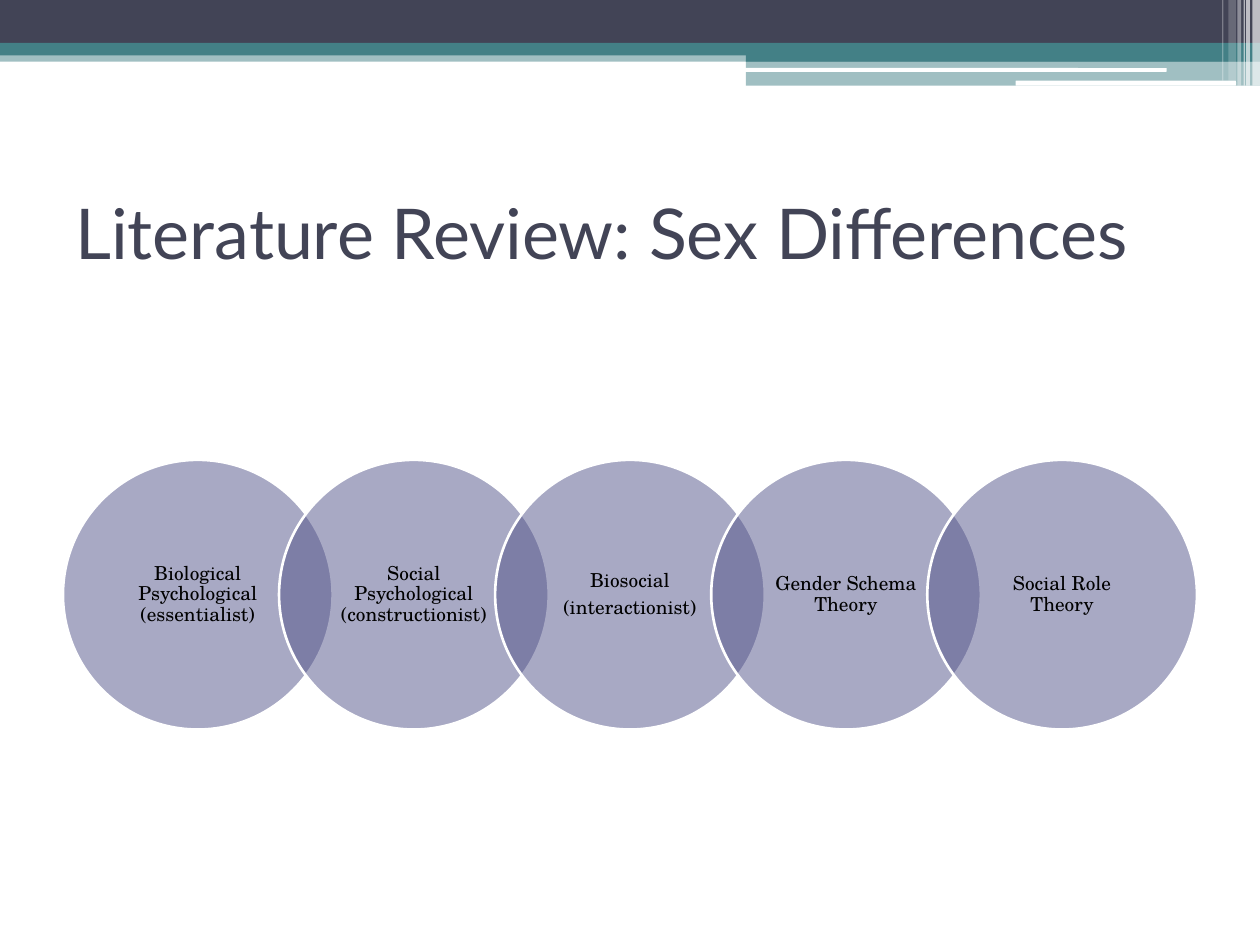
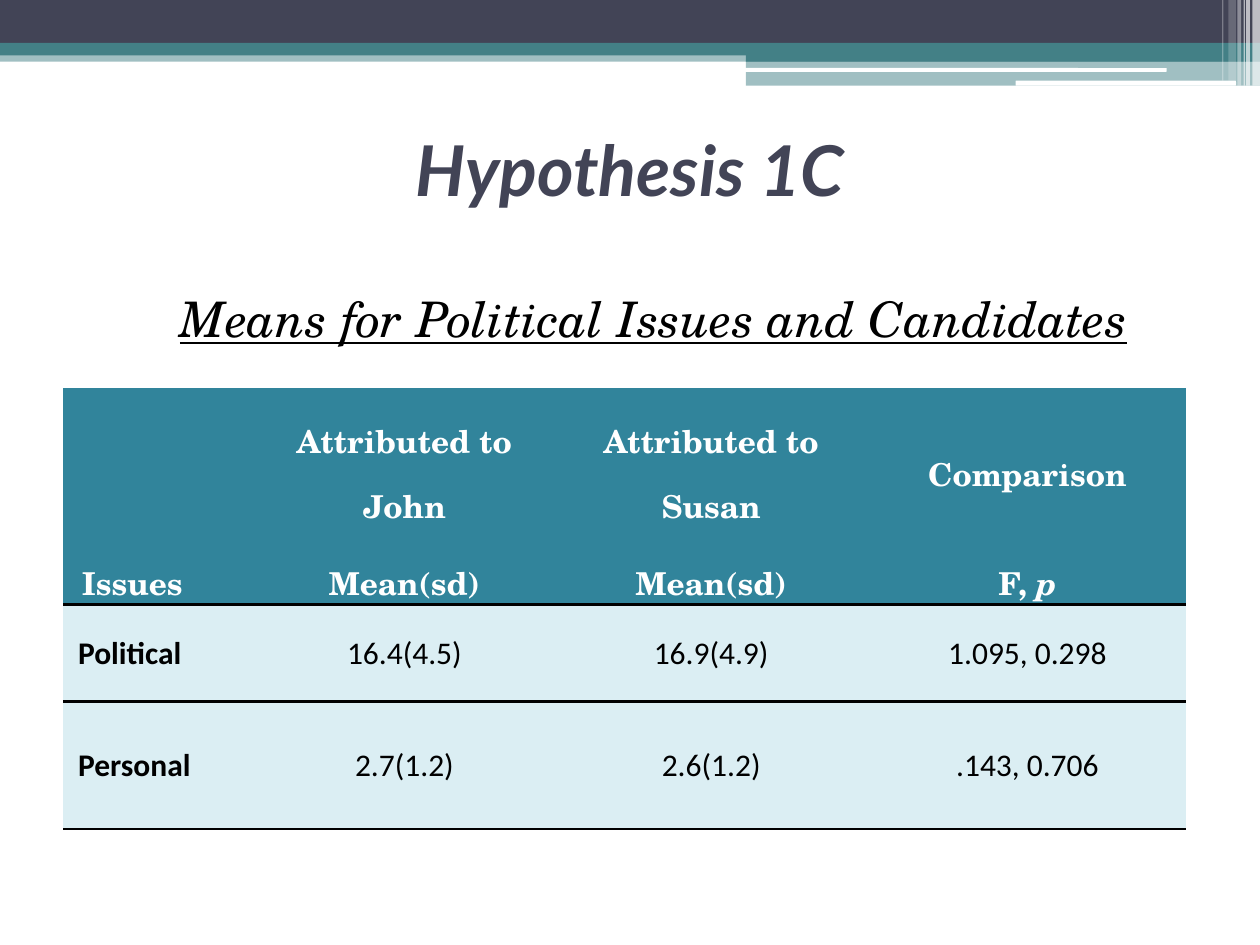
from dataclasses import dataclass

from lxml.etree import SubElement
from pptx import Presentation
from pptx.dml.color import RGBColor as Rgb
from pptx.enum.shapes import MSO_SHAPE as Shape
from pptx.enum.text import MSO_ANCHOR as Anchor, PP_ALIGN as Align
from pptx.oxml.ns import qn
from pptx.util import Inches, Pt

COLS, ROWS = 100, 75
PLAIN_TABLE = "{2D5ABB26-0587-4C30-8999-92F81FD0307C}"


@dataclass(frozen=True)
class Theme:
    """Colours, fonts and type sizes of the deck."""

    slate: str = "424456"
    teal: str = "438086"
    violet: str = "53548A"
    header: str = "31849B"
    pale: str = "DBEEF3"
    white: str = "FFFFFF"
    black: str = "000000"
    title_font: str = "Lato"
    body_font: str = "TeX Gyre Schola"
    data_font: str = "Calibri"
    title_size: int = 40
    subtitle_size: int = 28
    table_size: int = 18
    label_size: int = 11


class Deck:
    """Draws styled elements on the current slide, placed on a 100 by 75 grid."""

    def __init__(self, theme):
        """Open an empty 10 by 7.5 inch deck."""
        self.t = theme
        self.prs = Presentation()
        self.prs.slide_width, self.prs.slide_height = Inches(10), Inches(7.5)
        self.s = None

    def x(self, cols):
        """Turn grid columns into a length."""
        return round(self.prs.slide_width * cols / COLS)

    def y(self, rows):
        """Turn grid rows into a length."""
        return round(self.prs.slide_height * rows / ROWS)

    def box(self, left, top, width, height):
        """Turn a grid box into lengths."""
        return self.x(left), self.y(top), self.x(width), self.y(height)

    def slide(self):
        """Start a slide with the shared header bands and stripes."""
        t = self.t
        self.s = self.prs.slides.add_slide(self.prs.slide_layouts[6])
        bands = [
            (0, 4, 100, 0.9, t.teal, 50),
            (0, 0, 100, 3.4, t.slate, 100),
            (0, 3.4, 100, 1, t.teal, 100),
            (59.2, 3.9, 40.8, 1, t.teal, 100),
            (59.2, 4.8, 40.8, 2, t.teal, 50),
        ]
        for *at, color, alpha in bands:
            self.shape(Shape.RECTANGLE, at, color, alpha)
        for at in ((59.1, 5.4, 33.5, 0.3), (80.6, 6.4, 17.5, 0.4)):
            self.shape(Shape.ROUNDED_RECTANGLE, at, t.white)
        stripes = [
            (99.4, 0.6, 6.8, 65),
            (98.9, 0.3, 6.8, 65),
            (98.7, 0.1, 6.8, 60),
            (98.2, 0.3, 6.8, 40),
            (97.5, 0.6, 6.4, 20),
            (97, 0.1, 6.4, 30),
        ]
        for left, width, height, alpha in stripes:
            self.shape(Shape.RECTANGLE, (left, 0, width, height), t.white, alpha)

    def shape(self, kind, at, color, alpha=100, line=None):
        """Add a filled preset shape, with opacity in percent."""
        sp = self.s.shapes.add_shape(kind, *self.box(*at))
        sp.shadow.inherit = False
        sp.fill.solid()
        sp.fill.fore_color.rgb = Rgb.from_string(color)
        if alpha < 100:
            rgb = sp._element.spPr.find(qn("a:solidFill"))[0]
            SubElement(rgb, qn("a:alpha"), val=str(alpha * 1000))
        if line:
            sp.line.color.rgb = Rgb.from_string(line)
            sp.line.width = Pt(1.5)
        else:
            sp.line.fill.background()
        return sp

    def run(self, p, text, size, font, color, bold=None, italic=None, underline=None):
        """Add one styled run to a paragraph."""
        r = p.add_run()
        r.text = text
        f = r.font
        f.size, f.name, f.color.rgb = Pt(size), font, Rgb.from_string(color)
        f.bold, f.italic, f.underline = bold, italic, underline

    def text(self, at, anchor):
        """Add a wrapping text box and return its frame."""
        tf = self.s.shapes.add_textbox(*self.box(*at)).text_frame
        tf.word_wrap, tf.vertical_anchor = True, anchor
        return tf

    def title(self, text, top, align=Align.LEFT, **style):
        """Add the slide title."""
        p = self.text((5, top, 90, 11.7), Anchor.MIDDLE).paragraphs[0]
        p.alignment = align
        self.run(p, text, self.t.title_size, self.t.title_font, self.t.slate, **style)

    def subtitle(self, text, at):
        """Add an underlined, centred heading at the foot of its box."""
        tf = self.text(at, Anchor.BOTTOM)
        tf.margin_left, tf.margin_bottom = self.x(2.2), self.y(1.6)
        p = tf.paragraphs[0]
        p.alignment = Align.CENTER
        self.run(p, text, self.t.subtitle_size, self.t.body_font, self.t.black,
                 italic=True, underline=True)

    def circle_chain(self, labels, left, top, width, size):
        """Add a row of equal, overlapping, labelled circles."""
        t = self.t
        pitch = (width - size) / (len(labels) - 1)
        for i, lines in enumerate(labels):
            at = (left + i * pitch, top, size, size)
            tf = self.shape(Shape.OVAL, at, t.violet, 50, t.white).text_frame
            tf.word_wrap, tf.vertical_anchor = True, Anchor.MIDDLE
            tf.margin_left = tf.margin_right = self.x(1.2)
            tf.margin_top = tf.margin_bottom = self.y(0.2)
            for j, line in enumerate(lines):
                p = tf.add_paragraph() if j else tf.paragraphs[0]
                p.alignment, p.line_spacing = Align.CENTER, 0.9
                p.space_after = Pt(4)
                self.run(p, line, t.label_size, t.body_font, t.black)

    def border(self, cell, side, width):
        """Draw one black edge of a cell."""
        ln = SubElement(cell._tc.get_or_add_tcPr(), qn(f"a:{side}"), w=str(Pt(width)))
        SubElement(SubElement(ln, qn("a:solidFill")), qn("a:srgbClr"), val=self.t.black)

    def cell(self, cell, runs, is_header, is_first):
        """Fill one table cell; every second run is italic."""
        t = self.t
        cell.margin_left = cell.margin_right = cell.margin_top = self.x(0.1)
        cell.margin_bottom = 0
        cell.vertical_anchor = Anchor.MIDDLE
        p = cell.text_frame.paragraphs[0]
        p.alignment = Align.LEFT if is_first else Align.CENTER
        if is_first:
            cell.margin_left = self.x(1.5 if is_header else 1.2)
        if is_header:
            p.line_spacing = 1.35
            if is_first:
                cell.vertical_anchor = Anchor.BOTTOM
        font, color = (t.body_font, t.white) if is_header else (t.data_font, t.black)
        for i, text in enumerate(runs):
            self.run(p, text, t.table_size, font, color,
                     bold=is_header or is_first, italic=i % 2 == 1)

    def table(self, data, at, widths, heights, header_rows):
        """Add a ruled table with a dark header and a pale body."""
        frame = self.s.shapes.add_table(len(data), len(widths), *self.box(*at))
        tbl = frame.table
        tbl.first_row = tbl.horz_banding = False
        tbl._tbl.tblPr.find(qn("a:tableStyleId")).text = PLAIN_TABLE
        for col, width in zip(tbl.columns, widths):
            col.width = self.x(width)
        for i, (row, height, values) in enumerate(zip(tbl.rows, heights, data)):
            row.height = self.y(height)
            is_header = i < header_rows
            for j, (cell, runs) in enumerate(zip(row.cells, values)):
                self.cell(cell, runs, is_header, j == 0)
                if i == header_rows:
                    self.border(cell, "lnT", 2)
                if i == header_rows - 1:
                    self.border(cell, "lnB", 2)
                if i == len(data) - 1:
                    self.border(cell, "lnB", 1)
                cell.fill.solid()
                fill = self.t.header if is_header else self.t.pale
                cell.fill.fore_color.rgb = Rgb.from_string(fill)


def main():
    """Build both slides and save the deck."""
    deck = Deck(Theme())

    deck.slide()
    deck.title("Literature Review: Sex Differences", 12.5)
    theories = [
        ["Biological Psychological (essentialist)"],
        ["Social Psychological (constructionist)"],
        ["Biosocial", "(interactionist)"],
        ["Gender Schema Theory"],
        ["Social Role Theory"],
    ]
    deck.circle_chain(theories, left=5, top=36.5, width=90, size=21.4)

    deck.slide()
    deck.title("Hypothesis 1C", 7.5, Align.CENTER, bold=True, italic=True)
    deck.subtitle("Means for Political Issues and Candidates", (7.5, 17.1, 87.5, 12.1))
    means = [
        [[], ["Attributed to John"], ["Attributed to Susan"], ["Comparison"]],
        [["Issues"], ["Mean(sd)"], ["Mean(sd)"], ["F, ", "p"]],
        [["Political"], ["16.4(4.5)"], ["16.9(4.9)"], ["1.095, 0.298"]],
        [["Personal"], ["2.7(1.2)"], ["2.6(1.2)"], [".143, 0.706"]],
    ]
    deck.table(means, (5, 30.8, 89.1, 35), widths=(15.3, 23.6, 25.1, 25.1),
               heights=(12.1, 5.1, 7.7, 10.1), header_rows=2)

    deck.prs.save("out.pptx")


if __name__ == "__main__":
    main()
